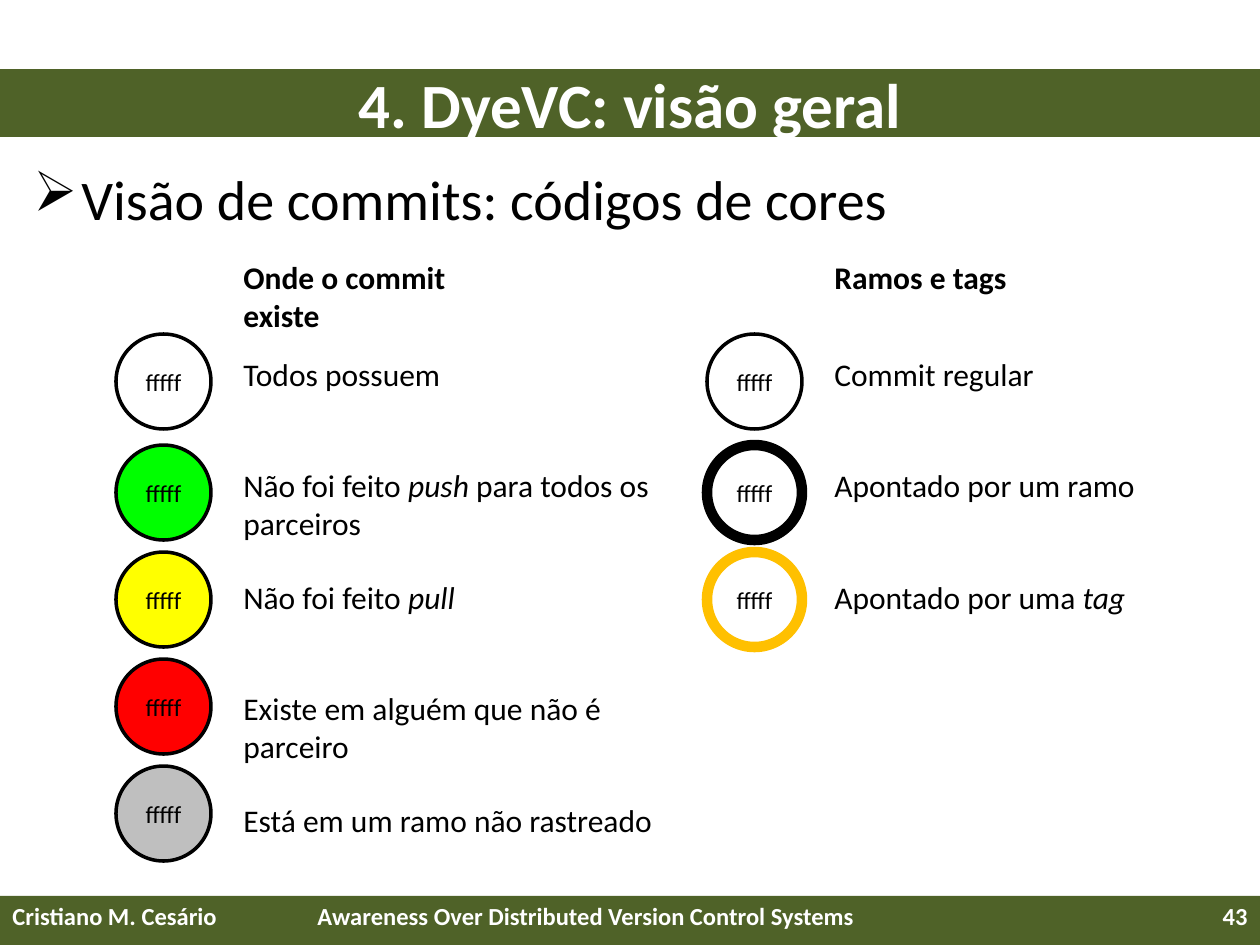
"""Build the DyeVC commit colour code slide."""
from lxml import etree
from pptx import Presentation
from pptx.dml.color import RGBColor
from pptx.enum.shapes import MSO_SHAPE
from pptx.enum.text import MSO_ANCHOR, MSO_AUTO_SIZE, PP_ALIGN
from pptx.oxml.ns import qn
from pptx.util import Emu, Pt

RECTANGLE, OVAL = MSO_SHAPE.RECTANGLE, MSO_SHAPE.OVAL
MIDDLE = MSO_ANCHOR.MIDDLE
NO_FIT, GROW = MSO_AUTO_SIZE.NONE, MSO_AUTO_SIZE.SHAPE_TO_FIT_TEXT
LEFT, CENTER, RIGHT = PP_ALIGN.LEFT, PP_ALIGN.CENTER, PP_ALIGN.RIGHT

OLIVE = RGBColor(0x4F, 0x62, 0x28)
WHITE = RGBColor(0xFF, 0xFF, 0xFF)
BLACK = RGBColor(0x00, 0x00, 0x00)
GREEN = RGBColor(0x00, 0xFF, 0x00)
YELLOW = RGBColor(0xFF, 0xFF, 0x00)
RED = RGBColor(0xFF, 0x00, 0x00)
GRAY = RGBColor(0xBF, 0xBF, 0xBF)
AMBER = RGBColor(0xFF, 0xC0, 0x00)

FONT = "Calibri"
PX_PER_INCH = 126
CIRCLE_SIZE = 95
CIRCLE_TOPS = (74, 185, 292, 399, 506)
LABEL_TOP, LABEL_OFFSET, LABEL_WIDTH = 89, 115, 451

COMMIT_LOCATIONS = (
    ("Todos possuem", WHITE, BLACK, 2),
    ("Não foi feito *push* para todos os parceiros", GREEN, BLACK, 2),
    ("Não foi feito *pull*", YELLOW, BLACK, 2),
    ("Existe em alguém que não é parceiro", RED, BLACK, 2),
    ("Está em um ramo não rastreado", GRAY, BLACK, 2),
)
BRANCHES_AND_TAGS = (
    ("Commit regular", WHITE, BLACK, 2),
    ("Apontado por um ramo", None, BLACK, 6),
    ("Apontado por uma *tag*", None, AMBER, 6),
)


def px(value):
    """Convert pixels to EMU."""
    return Emu(round(value * 914400 / PX_PER_INCH))


def write(frame, text, size, color=BLACK, bold=False, align=LEFT):
    """Write one paragraph, with the parts between asterisks in italics."""
    paragraph = frame.paragraphs[0]
    paragraph.alignment = align
    for index, part in enumerate(text.split("*")):
        if part:
            run = paragraph.add_run()
            run.text = part
            if index % 2:
                run.font.italic = True
    font = paragraph.font
    font.name, font.size, font.bold = FONT, Pt(size), bold
    font.color.rgb = color
    return paragraph


def add_text(slide, box, text, size, fit=GROW, **style):
    """Add a wrapping text box and return its paragraph."""
    frame = slide.shapes.add_textbox(*map(px, box)).text_frame
    frame.word_wrap = True
    frame.auto_size = fit
    return write(frame, text, size, **style)


def add_title(slide, box, text):
    """Turn the title placeholder into a filled band."""
    title = slide.shapes.title
    title.left, title.top, title.width, title.height = map(px, box)
    title.fill.solid()
    title.fill.fore_color.rgb = OLIVE
    frame = title.text_frame
    frame.auto_size = NO_FIT
    frame.vertical_anchor = MIDDLE
    write(frame, text, 36, color=WHITE, bold=True, align=CENTER)


def add_footer(slide, box):
    """Add the bottom band with author, subject and slide number."""
    left, top, width, height = box
    band = slide.shapes.add_shape(RECTANGLE, *map(px, box))
    band.shadow.inherit = False
    band.fill.solid()
    band.fill.fore_color.rgb = OLIVE
    band.line.fill.background()
    columns = (
        (0, 294, "Cristiano M. Cesário", LEFT),
        (305, 651, "Awareness Over Distributed Version Control Systems", LEFT),
        (width - 294, 294, "43", RIGHT),
    )
    for offset, column_width, text, align in columns:
        add_text(slide, (left + offset, top - 1, column_width, height + 1), text, 14,
                 fit=NO_FIT, color=WHITE, bold=True, align=align)


def add_topic(slide, box, text):
    """Add the bulleted topic line."""
    paragraph = add_text(slide, box, "", 32, fit=NO_FIT)
    properties = paragraph._p.get_or_add_pPr()
    properties.set("marL", str(px(48)))
    properties.set("indent", str(-px(48)))
    bullet = etree.Element(qn("a:buChar"), char="➢")
    properties.insert(0, bullet)
    paragraph.add_run().text = text


def add_commit(slide, left, top, fill, outline, weight):
    """Add one commit circle."""
    circle = slide.shapes.add_shape(OVAL, px(left), px(top), px(CIRCLE_SIZE), px(CIRCLE_SIZE))
    circle.shadow.inherit = False
    if fill is None:
        circle.fill.background()
    else:
        circle.fill.solid()
        circle.fill.fore_color.rgb = fill
    circle.line.color.rgb = outline
    circle.line.width = Pt(weight)
    frame = circle.text_frame
    frame.margin_left = frame.margin_right = frame.margin_top = frame.margin_bottom = px(5)
    frame.vertical_anchor = MIDDLE
    write(frame, "fffff", 14, align=CENTER)


def add_legend(slide, left, top, heading, heading_width, heading_height, entries):
    """Add a heading and its column of commit circles with labels."""
    label_left = left + LABEL_OFFSET
    add_text(slide, (label_left, top - 8, heading_width, heading_height), heading, 18, bold=True)
    for row, (label, fill, outline, weight) in enumerate(entries):
        add_commit(slide, left, top + CIRCLE_TOPS[row], fill, outline, weight)
        label_top = top + LABEL_TOP + row * 223 // 2
        add_text(slide, (label_left, label_top, LABEL_WIDTH, 53), label, 18)


def main():
    """Build and save the presentation."""
    presentation = Presentation()
    presentation.slide_width, presentation.slide_height = px(1260), px(945)
    slide = presentation.slides.add_slide(presentation.slide_layouts[5])
    add_title(slide, (0, 69, 1260, 68), "4. DyeVC: visão geral")
    add_footer(slide, (0, 896, 1260, 49))
    add_legend(slide, 116, 260, "Onde o commit existe", 307, 89, COMMIT_LOCATIONS)
    add_legend(slide, 707, 260, "Ramos e tags", 410, 50, BRANCHES_AND_TAGS)
    add_topic(slide, (21, 158, 1218, 724), "Visão de commits: códigos de cores")
    presentation.save("out.pptx")


if __name__ == "__main__":
    main()
